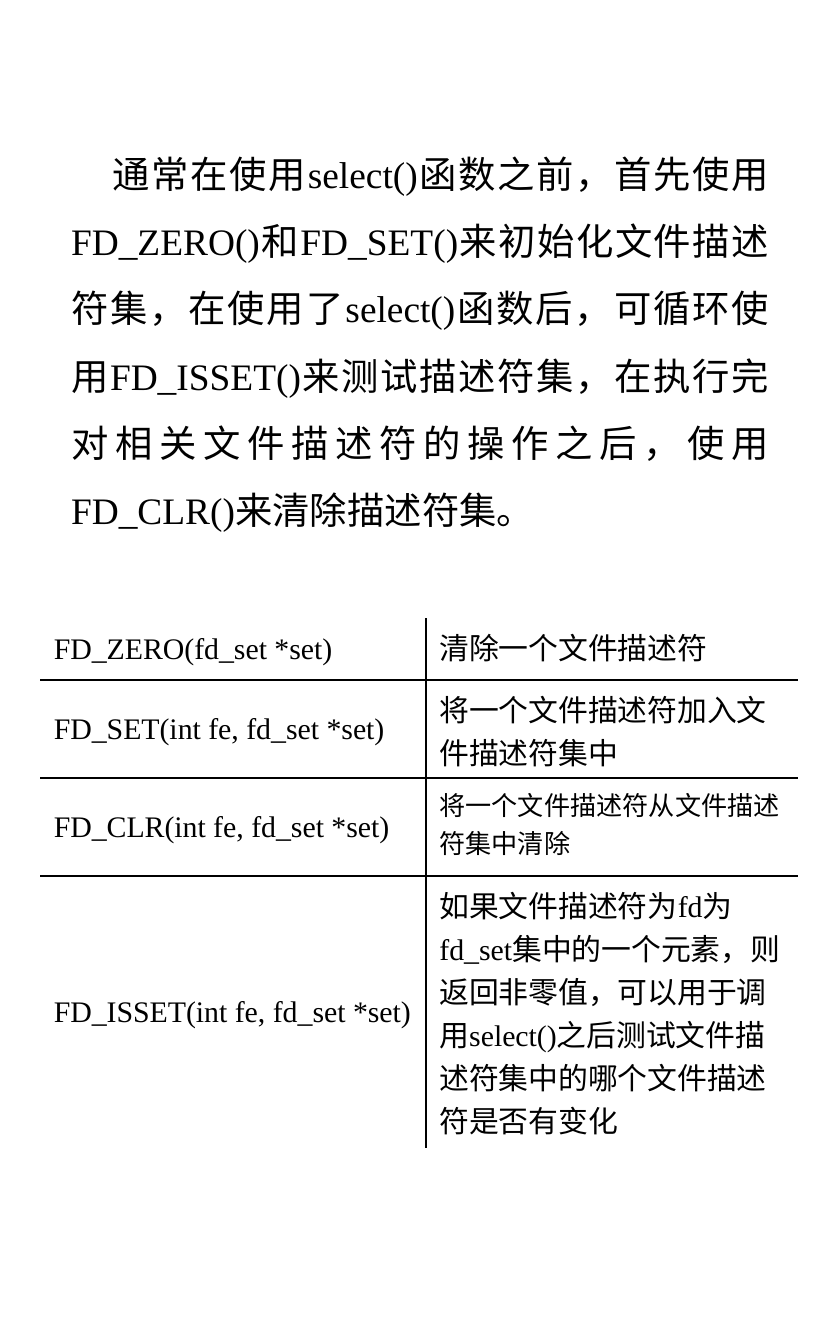
"""Build a slide on the macros that handle file descriptor sets."""
from lxml import etree
from pptx import Presentation
from pptx.dml.color import RGBColor
from pptx.enum import lang, text
from pptx.oxml.ns import qn
from pptx.util import Inches, Pt

INTRO = (
    "通常在使用select()函数之前，首先使用FD_ZERO()和FD_SET()来初始化文件描述符集，"
    "在使用了select()函数后，可循环使用FD_ISSET()来测试描述符集，"
    "在执行完对相关文件描述符的操作之后，使用FD_CLR()来清除描述符集。"
)
MACROS = [
    ("FD_ZERO(fd_set *set)", "清除一个文件描述符", 16, 0.46),
    ("FD_SET(int fe, fd_set *set)", "将一个文件描述符加入文件描述符集中", 16, 0.73),
    ("FD_CLR(int fe, fd_set *set)", "将一个文件描述符从文件描述符集中清除", 14, 0.73),
    ("FD_ISSET(int fe, fd_set *set)",
     "如果文件描述符为fd为fd_set集中的一个元素，则返回非零值，可以用于调用select()"
     "之后测试文件描述符集中的哪个文件描述符是否有变化", 16, 2.02),
]
WIDTHS = [2.87, 2.77]
COLORS = {"ink": "000000"}
FONT = "Times New Roman"


def style(para, size):
    font = para.font
    font.name, font.size = FONT, Pt(size)
    font.color.rgb = RGBColor.from_string(COLORS["ink"])
    font.language_id = lang.MSO_LANGUAGE_ID.SIMPLIFIED_CHINESE


def set_borders(cell, sides):
    properties = cell._tc.get_or_add_tcPr()
    for position, side in enumerate("LRTB"):
        line = etree.Element(qn(f"a:ln{side}"), w=str(Pt(1)))
        if side in sides:
            fill = etree.SubElement(line, qn("a:solidFill"))
            etree.SubElement(fill, qn("a:srgbClr"), val=COLORS["ink"])
        else:
            etree.SubElement(line, qn("a:noFill"))
        properties.insert(position, line)


def add_intro(page):
    box = page.shapes.add_textbox(Inches(0.43), Inches(0.91), Inches(5.39), Inches(3.4))
    box.text_frame.word_wrap = True
    para = box.text_frame.paragraphs[0]
    para.text = INTRO
    para.alignment = text.PP_ALIGN.JUSTIFY
    para.line_spacing = 1.5
    para._p.get_or_add_pPr().set("indent", str(Inches(0.31)))
    style(para, 20)


def add_macro_table(page):
    height = sum(macro[-1] for macro in MACROS)
    table = page.shapes.add_table(
        len(MACROS), len(WIDTHS), Inches(0.3), Inches(4.6),
        Inches(sum(WIDTHS)), Inches(height)).table
    table.first_row = table.horz_banding = False
    for column, width in zip(table.columns, WIDTHS):
        column.width = Inches(width)
    for index, (call, meaning, size, row_height) in enumerate(MACROS):
        table.rows[index].height = Inches(row_height)
        rules = ("T" if index else "") + ("B" if index < len(MACROS) - 1 else "")
        call_cell, meaning_cell = table.rows[index].cells
        call_cell.vertical_anchor = text.MSO_ANCHOR.MIDDLE
        for cell, words, points, inner in (
                (call_cell, call, 16, "R"), (meaning_cell, meaning, size, "L")):
            cell.text = words
            style(cell.text_frame.paragraphs[0], points)
            cell.fill.background()
            set_borders(cell, rules + inner)


def main():
    deck = Presentation()
    deck.slide_width, deck.slide_height = Inches(6.25), Inches(10)
    page = deck.slides.add_slide(deck.slide_layouts[6])
    add_intro(page)
    add_macro_table(page)
    deck.save("out.pptx")


if __name__ == "__main__":
    main()
